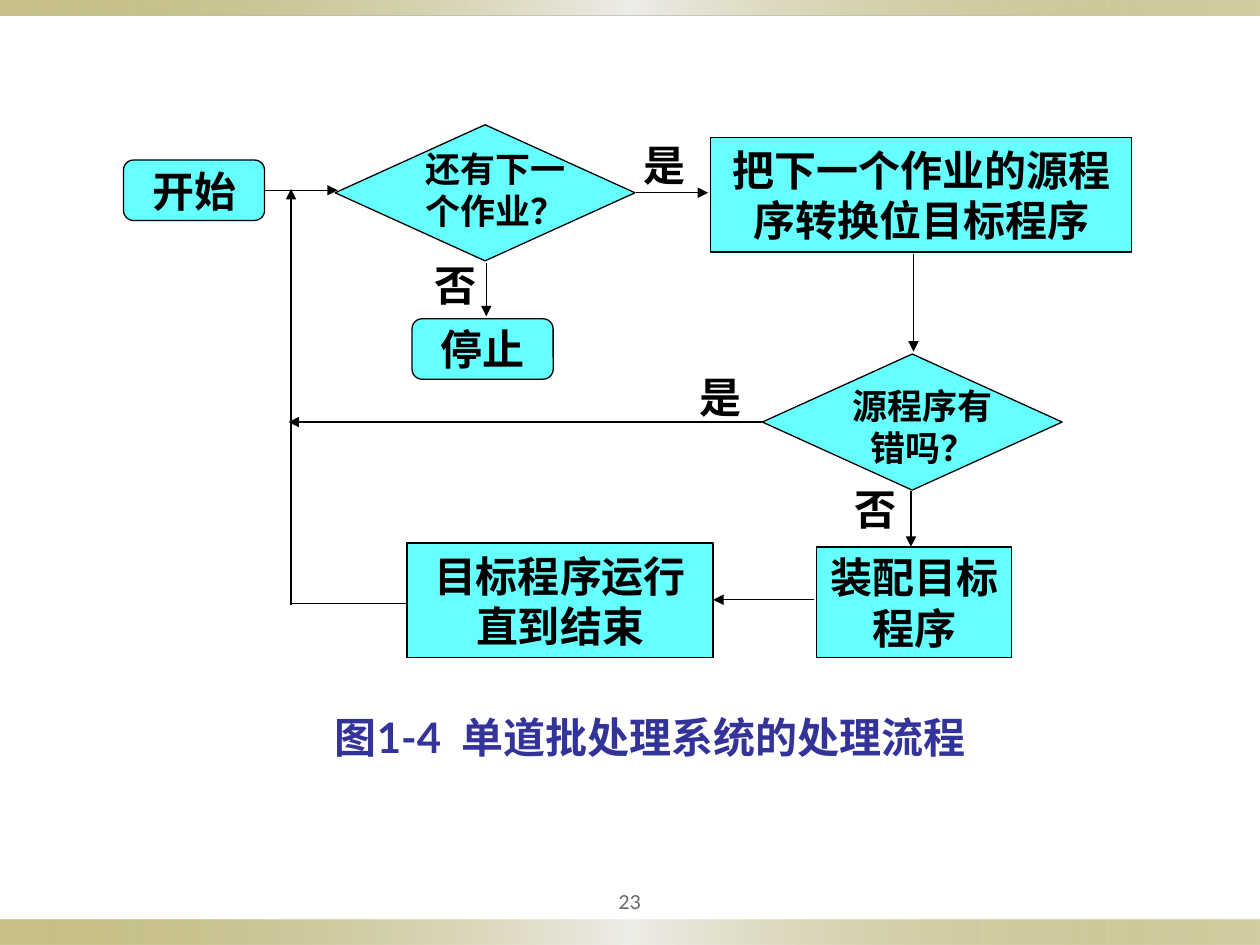
from lxml.etree import SubElement
from pptx import Presentation
from pptx.dml.color import RGBColor
from pptx.enum.shapes import MSO_CONNECTOR, MSO_SHAPE as Shape
from pptx.enum.text import MSO_ANCHOR as Anchor, PP_ALIGN as Align
from pptx.oxml import parse_xml
from pptx.oxml.ns import nsdecls, qn
from pptx.util import Inches, Pt

COLORS = {
    "box": "66FFFF",
    "ink": "000000",
    "caption": "333399",
    "number": "636363",
    "band_edge": "918415",
    "band_middle": "EEEDE8",
}
FONT = "Lato"
DECISION_SIZE = (2.38, 1.08)
TERMINAL_SIZE = (1.12, 0.48)
BOX_MARGINS = (0.02, 0.05)
LABEL_MARGINS = (0.1, 0.05)


def rgb(name):
    return RGBColor.from_string(COLORS[name])


def place(*lengths):
    return [Inches(length) for length in lengths]


def write(shape, text, size=24, color="ink", bold=True, align=Align.CENTER,
          anchor=Anchor.MIDDLE, margins=BOX_MARGINS, wrap=True):
    side, end = place(*margins)
    frame = shape.text_frame
    frame_format = {
        "margin_left": side, "margin_right": side,
        "margin_top": end, "margin_bottom": end,
        "word_wrap": wrap, "vertical_anchor": anchor, "text": text,
    }
    for name, value in frame_format.items():
        setattr(frame, name, value)
    font_format = {"name": FONT, "size": Pt(size), "bold": bold}
    for paragraph in frame.paragraphs:
        paragraph.alignment = align
        for run in paragraph.runs:
            for name, value in font_format.items():
                setattr(run.font, name, value)
            run.font.color.rgb = rgb(color)


def add_label(slide, text, left, top, width=0.59, height=0.5, **text_format):
    label = slide.shapes.add_textbox(*place(left, top, width, height))
    write(label, text, **{"anchor": Anchor.TOP, "margins": LABEL_MARGINS, **text_format})


def add_box(slide, kind, left, top, width, height, text="", wrap=True):
    box = slide.shapes.add_shape(kind, *place(left, top, width, height))
    box.shadow.inherit = False
    box.fill.solid()
    box.fill.fore_color.rgb = rgb("box")
    box.line.color.rgb = rgb("ink")
    box.line.width = Pt(0.75)
    if text:
        write(box, text, wrap=wrap)


def add_decision(slide, left, top, question, text_left, text_top):
    add_box(slide, Shape.FLOWCHART_DECISION, left, top, *DECISION_SIZE)
    add_label(slide, question, text_left, text_top, 1.47, 0.77, size=20)


def add_flow(slide, start, end, arrow=True):
    flow = slide.shapes.add_connector(MSO_CONNECTOR.STRAIGHT, *place(*start, *end))
    flow.line.color.rgb = rgb("ink")
    flow.line.width = Pt(0.75)
    properties = flow._element.spPr
    if arrow:
        SubElement(properties.find(qn("a:ln")), qn("a:tailEnd"), type="triangle")
    SubElement(properties, qn("a:effectLst"))


def add_band(slide, top, height):
    band = slide.shapes.add_shape(Shape.RECTANGLE, *place(0, top, 10, height))
    band.shadow.inherit = False
    band.line.fill.background()
    # Three stops, as (position, colour, opacity) in percent
    stops = [(0, "band_edge", 50), (50, "band_middle", 100), (100, "band_edge", 40)]
    stop_xml = "".join(
        f'<a:gs pos="{position * 1000}"><a:srgbClr val="{COLORS[color]}">'
        f'<a:alpha val="{opacity * 1000}"/></a:srgbClr></a:gs>'
        for position, color, opacity in stops)
    gradient = parse_xml(
        f'<a:gradFill {nsdecls("a")} rotWithShape="1"><a:gsLst>{stop_xml}</a:gsLst>'
        '<a:lin ang="0" scaled="0"/></a:gradFill>')
    band._element.spPr.find(qn("a:prstGeom")).addnext(gradient)


def main():
    deck = Presentation()
    deck.slide_width, deck.slide_height = place(10, 7.5)
    slide = deck.slides.add_slide(deck.slide_layouts[6])

    # Page frame
    add_band(slide, 7.3, 0.2)
    add_band(slide, 0, 0.12)
    add_label(slide, "23", 4.5, 7, 1, 0.31, size=11, color="number", bold=False,
              anchor=Anchor.MIDDLE, margins=(0.05, 0.05))

    # Start and stop
    for text, left, top in [("开始", 0.98, 1.27), ("停止", 3.27, 2.53)]:
        add_box(slide, Shape.FLOWCHART_ALTERNATE_PROCESS, left, top,
                *TERMINAL_SIZE, text, wrap=False)

    # Decisions
    add_decision(slide, 2.66, 0.99, "还有下一个作业？", 3.2, 1.12)
    add_decision(slide, 6.05, 2.81, "源程序有错吗？", 6.59, 3)

    # Processing steps
    steps = [
        (5.64, 1.09, 3.34, 0.91, "把下一个作业的源程序转换位目标程序"),
        (6.48, 4.34, 1.55, 0.88, "装配目标程序"),
        (3.23, 4.31, 2.43, 0.91, "目标程序运行\n直到结束"),
    ]
    for step in steps:
        add_box(slide, Shape.FLOWCHART_PROCESS, *step)

    # Flow between the steps
    arrows = [
        ((2.1, 1.51), (2.68, 1.51)),
        ((3.86, 2.09), (3.86, 2.51)),
        ((5.05, 1.53), (5.62, 1.53)),
        ((7.25, 2.02), (7.25, 2.79)),
        ((6.06, 3.35), (2.29, 3.35)),
        ((7.23, 3.9), (7.23, 4.34)),
        ((6.46, 4.76), (5.66, 4.76)),
        ((2.31, 4.8), (2.31, 1.5)),
    ]
    for start, end in arrows:
        add_flow(slide, start, end)
    add_flow(slide, (3.23, 4.79), (2.31, 4.79), arrow=False)

    # Answers at the decisions
    answers = [("否", 3.35, 2.01), ("是", 5.01, 1.06), ("是", 5.45, 2.9), ("否", 6.68, 3.79)]
    for answer, left, top in answers:
        add_label(slide, answer, left, top, align=Align.LEFT)

    # Caption
    add_label(slide, "图1-4  单道批处理系统的处理流程", 2.3, 5.6, 5.72, color="caption")

    deck.save("out.pptx")


if __name__ == "__main__":
    main()
